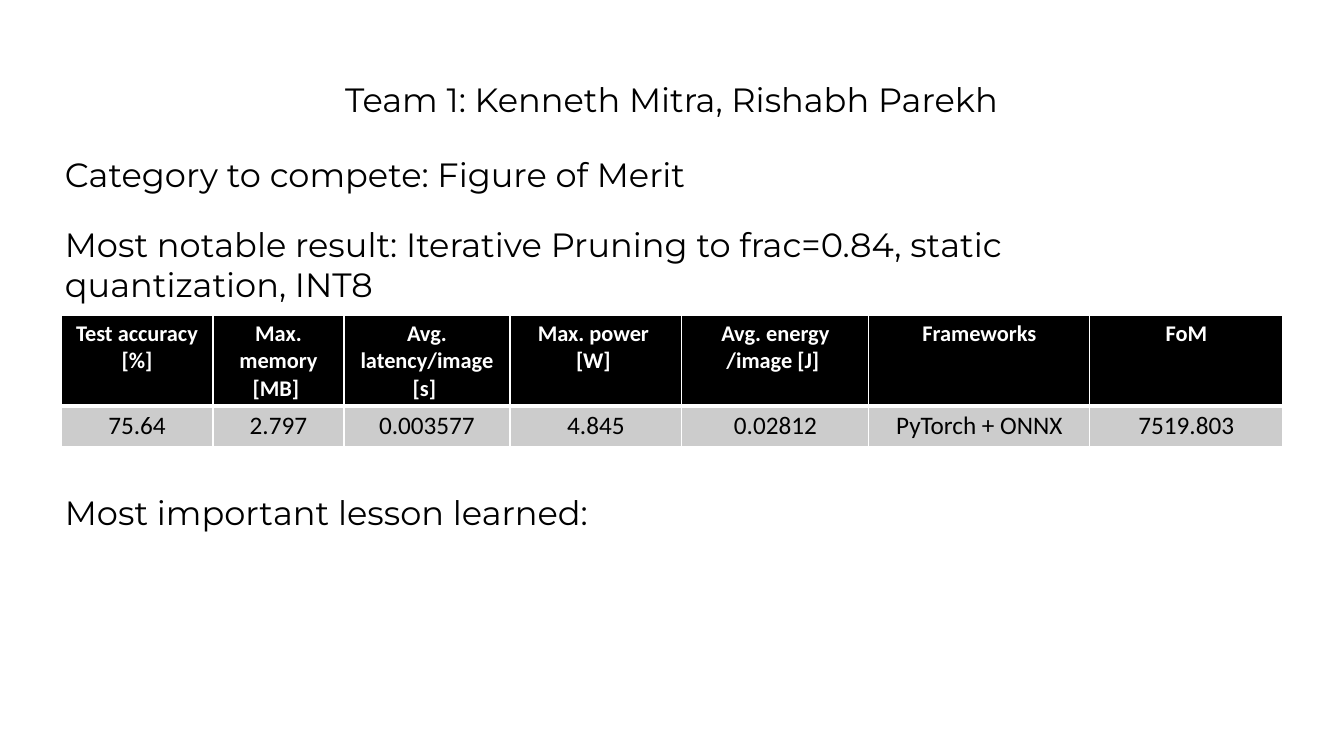
from dataclasses import dataclass

from lxml import etree
from pptx import Presentation
from pptx import util as u
from pptx.dml.color import RGBColor
from pptx.enum import text
from pptx.oxml import ns

STATEMENTS = [
    ("Most notable result: Iterative Pruning to frac=0.84, static quantization, INT8",
     (55, 219, 1162, 92), "left"),
    ("Most important lesson learned:", (55, 487, 925, 132), "left"),
    ("Category to compete: Figure of Merit", (55, 149, 873, 50), "left"),
    ("Team 1: Kenneth Mitra, Rishabh Parekh", (279, 74, 785, 50), "center"),
]
RESULTS = [
    ("Test accuracy [%]", "75.64", 152),
    ("Max. memory [MB] ", "2.797", 131),
    ("Avg. latency/image [s] ", "0.003577", 166),
    ("Max. power \n[W] ", "4.845", 172),
    ("Avg. energy /image [J] ", "0.02812", 187),
    ("Frameworks", "PyTorch + ONNX", 221),
    ("FoM", "7519.803", 193),
]
TABLE_LEFT, TABLE_TOP = 61, 315
ROW_HEIGHTS = (90, 41)
SLIDE_SIZE = (1344, 756)


@dataclass(frozen=True)
class Theme:
    ink: str = "000000"
    paper: str = "FFFFFF"
    band: str = "CCCCCC"
    statement_font: str = "Montserrat"
    table_font: str = "Calibri"
    statement_size: int = 24
    header_size: int = 16
    value_size: int = 18
    rule: int = 1
    header_rule: int = 3


THEME = Theme()
ALIGN = {"left": text.PP_ALIGN.LEFT, "center": text.PP_ALIGN.CENTER}


def px(length):
    return u.Emu(round(length * 914400 / 100.8))


def write(frame, words, font, size, color, align, bold=False):
    frame.text = words
    for paragraph in frame.paragraphs:
        paragraph.alignment = ALIGN[align]
        for run in paragraph.runs:
            run.font.name = font
            run.font.size = u.Pt(size)
            run.font.bold = bold
            run.font.color.rgb = RGBColor.from_string(color)


def add_borders(cell, widths):
    properties = cell._tc.get_or_add_tcPr()
    for index, (side, width) in enumerate(widths.items()):
        line = etree.Element(ns.qn(f"a:ln{side}"), w=str(u.Pt(width)))
        fill = etree.SubElement(line, ns.qn("a:solidFill"))
        etree.SubElement(fill, ns.qn("a:srgbClr"), val=THEME.paper)
        properties.insert(index, line)


def add_statement(slide, words, box, align):
    frame = slide.shapes.add_textbox(*map(px, box)).text_frame
    frame.word_wrap = True
    write(frame, words, THEME.statement_font, THEME.statement_size, THEME.ink, align)


def add_results(slide):
    headers, values, widths = zip(*RESULTS)
    area = (TABLE_LEFT, TABLE_TOP, sum(widths), sum(ROW_HEIGHTS))
    table = slide.shapes.add_table(2, len(RESULTS), *map(px, area)).table
    for column, width in zip(table.columns, widths):
        column.width = px(width)
    looks = [
        (headers, THEME.ink, THEME.paper, THEME.header_size, True, "B"),
        (values, THEME.band, THEME.ink, THEME.value_size, False, "T"),
    ]
    for row, (words, fill, color, size, bold, thick_side) in enumerate(looks):
        table.rows[row].height = px(ROW_HEIGHTS[row])
        borders = dict.fromkeys("LRTB", THEME.rule) | {thick_side: THEME.header_rule}
        for column, label in enumerate(words):
            cell = table.cell(row, column)
            cell.fill.solid()
            cell.fill.fore_color.rgb = RGBColor.from_string(fill)
            write(cell.text_frame, label, THEME.table_font, size, color, "center", bold)
            add_borders(cell, borders)


def main():
    deck = Presentation()
    deck.slide_width, deck.slide_height = map(px, SLIDE_SIZE)
    slide = deck.slides.add_slide(deck.slide_layouts[6])
    for words, box, align in STATEMENTS:
        add_statement(slide, words, box, align)
    add_results(slide)
    deck.save("out.pptx")


if __name__ == "__main__":
    main()
